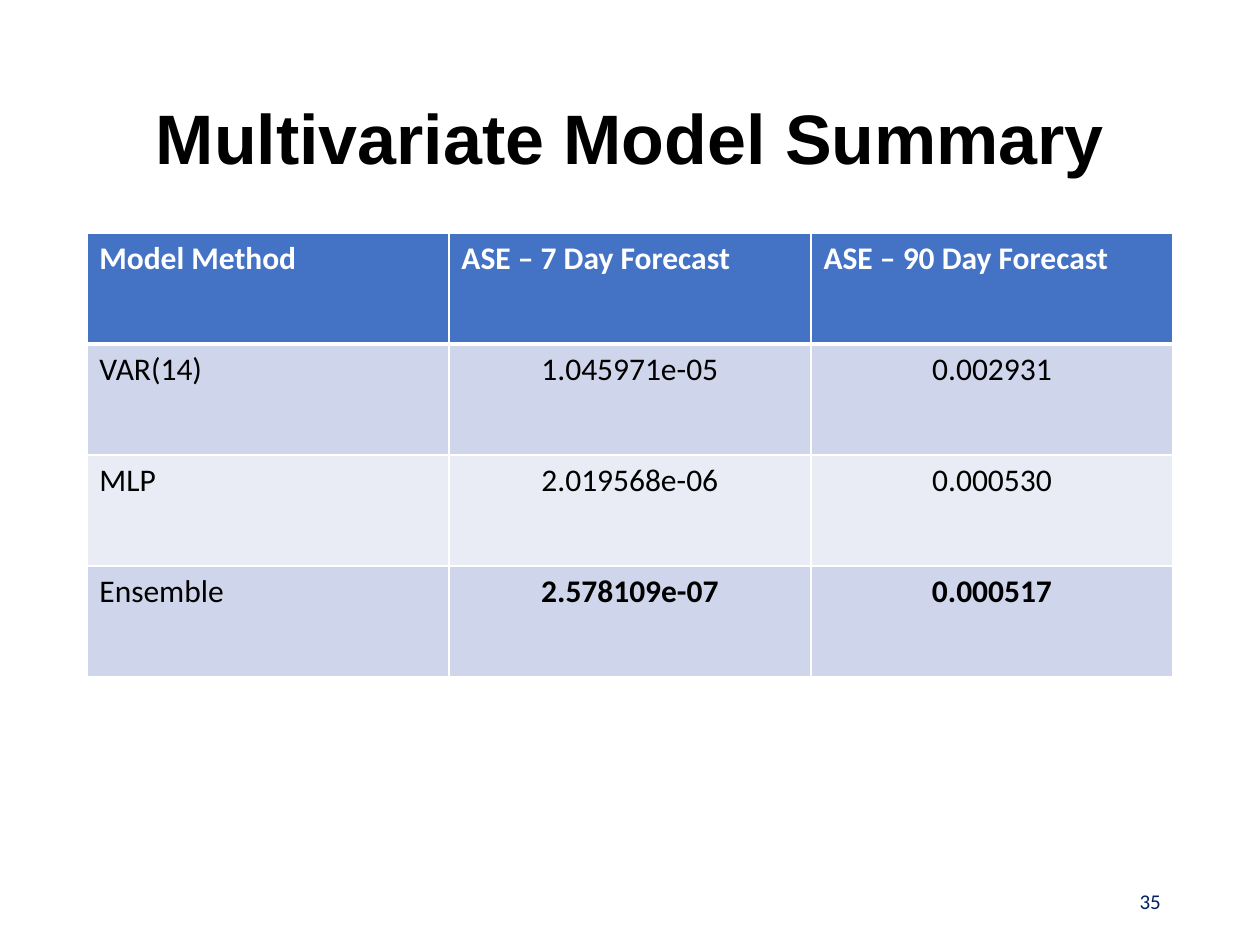
import lxml.etree
import pptx
import pptx.dml.color
import pptx.enum.text
import pptx.oxml.ns
import pptx.util

Cm = pptx.util.Cm
ALIGN = pptx.enum.text.PP_ALIGN
ANCHOR = pptx.enum.text.MSO_ANCHOR

WHITE, BLACK, NAVY = "FFFFFF", "000000", "002060"
HEADER_FILL, BAND_FILLS = "4472C4", ("CFD5EA", "E9EBF5")

ROWS = [
    ("Model Method", "ASE – 7 Day Forecast", "ASE – 90 Day Forecast"),
    ("VAR(14)", "1.045971e-05", "0.002931"),
    ("MLP", "2.019568e-06", "0.000530"),
    ("Ensemble", "2.578109e-07", "0.000517"),
]


def colour(hex_text):
    return pptx.dml.color.RGBColor.from_string(hex_text)


def add_span(para, text, hex_text, **formats):
    span = para.add_run()
    span.text = text
    span.font.color.rgb = colour(hex_text)
    for name, value in formats.items():
        setattr(span.font, name, value)


def set_border(cell, side, points):
    """Draw one white edge; call before filling the cell to keep the XML order."""
    line = lxml.etree.SubElement(
        cell._tc.get_or_add_tcPr(), pptx.oxml.ns.qn(f"a:ln{side}"),
        w=str(pptx.util.Pt(points)))
    fill = lxml.etree.SubElement(line, pptx.oxml.ns.qn("a:solidFill"))
    lxml.etree.SubElement(fill, pptx.oxml.ns.qn("a:srgbClr"), val=WHITE)


def add_title(page, left, top, width, height):
    title = page.shapes.title
    box = {"left": left, "top": top, "width": width, "height": height}
    for name, value in box.items():
        setattr(title, name, Cm(value))
    title.text_frame.vertical_anchor = ANCHOR.MIDDLE
    para = title.text_frame.paragraphs[0]
    para.alignment = ALIGN.CENTER
    para.line_spacing = 0.9
    add_span(para, "Multivariate Model Summary", BLACK,
             name="Arial", size=pptx.util.Pt(40), bold=True)


def add_results_table(page, left, top, width, height):
    table = page.shapes.add_table(
        len(ROWS), len(ROWS[0]), Cm(left), Cm(top), Cm(width), Cm(height)).table
    for r, texts in enumerate(ROWS):
        header, best = r == 0, r == len(ROWS) - 1
        for c, text in enumerate(texts):
            cell = table.cell(r, c)
            edges = {"L": 1, "R": 1, "T": 3 if r == 1 else 1, "B": 3 if header else 1}
            for side, points in edges.items():
                set_border(cell, side, points)
            cell.fill.solid()
            cell.fill.fore_color.rgb = colour(
                HEADER_FILL if header else BAND_FILLS[(r - 1) % 2])
            para = cell.text_frame.paragraphs[0]
            para.alignment = ALIGN.LEFT if header or c == 0 else ALIGN.CENTER
            add_span(para, text, WHITE if header else BLACK, name="Calibri",
                     size=pptx.util.Pt(18), bold=header or (best and c > 0))


def add_page_number(page, left, top, width, height):
    box = page.shapes.add_textbox(Cm(left), Cm(top), Cm(width), Cm(height))
    box.text_frame.word_wrap = True
    box.text_frame.vertical_anchor = ANCHOR.MIDDLE
    para = box.text_frame.paragraphs[0]
    para.alignment = ALIGN.RIGHT
    add_span(para, "35", NAVY, name="Calibri", size=pptx.util.Pt(12))


def main():
    deck = pptx.Presentation()
    deck.slide_width, deck.slide_height = Cm(25.4), Cm(19.05)
    page = deck.slides.add_slide(deck.slide_layouts[5])
    left, width, number_width = 1.75, 21.9, 5.72
    add_title(page, left, 1.02, width, 3.68)
    add_results_table(page, left, 4.7, width, 8.94)
    add_page_number(page, left + width - number_width, 17.65, number_width, 1.02)
    deck.save("out.pptx")


if __name__ == "__main__":
    main()
